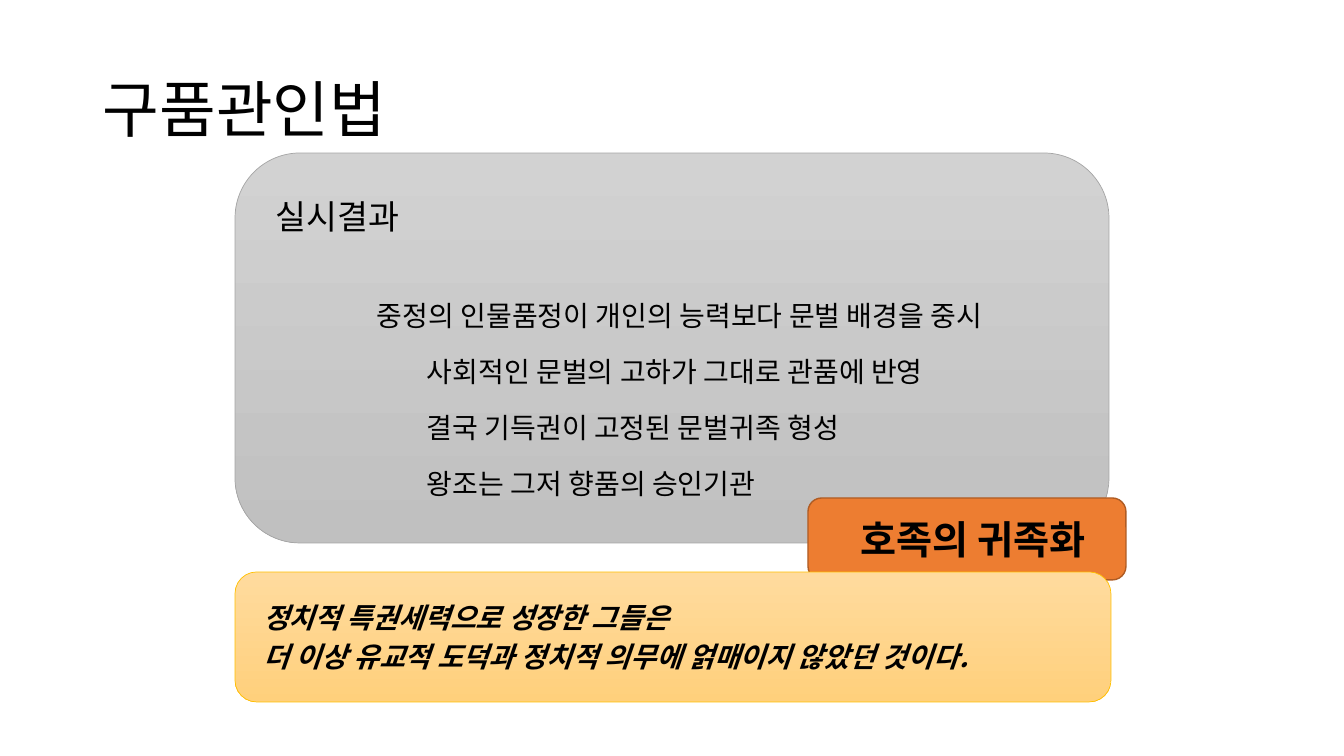
from pptx import Presentation
from pptx.dml.color import RGBColor
from pptx.enum.shapes import MSO_SHAPE
from pptx.enum.text import MSO_ANCHOR, PP_ALIGN
from pptx.util import Emu, Pt
from lxml import etree

ROUND = MSO_SHAPE.ROUNDED_RECTANGLE
MIDDLE = MSO_ANCHOR.MIDDLE
LEFT, CENTER = PP_ALIGN.LEFT, PP_ALIGN.CENTER
PX = 914400 / 100.8

BLACK = RGBColor(0x00, 0x00, 0x00)
GRAY_TOP = RGBColor(0xD2, 0xD2, 0xD2)
GRAY_BOTTOM = RGBColor(0xC0, 0xC0, 0xC0)
GRAY_LINE = RGBColor(0xA5, 0xA5, 0xA5)
ORANGE = RGBColor(0xED, 0x7D, 0x31)
ORANGE_LINE = RGBColor(0xAF, 0x5C, 0x24)
YELLOW_TOP = RGBColor(0xFF, 0xDB, 0x9E)
YELLOW_BOTTOM = RGBColor(0xFF, 0xD0, 0x7C)
YELLOW_LINE = RGBColor(0xFF, 0xC0, 0x00)
LATIN, HANGUL = "Calibri", "Noto Sans CJK KR"
A = "{http://schemas.openxmlformats.org/drawingml/2006/main}"


def px(n):
    return Emu(round(n * PX))


def add_line(tf, text, size, font, indent=0, align=LEFT, spacing=None,
             before=0, bold=False, italic=False):
    p = tf.paragraphs[0]
    if p.runs:
        p = tf.add_paragraph()
    pPr = p._p.get_or_add_pPr()
    pPr.set("marL", str(px(indent)))
    pPr.set("indent", "0")
    p.alignment = align
    p.space_before = Pt(before)
    if spacing:
        p.line_spacing = spacing
    r = p.add_run()
    r.text = text
    r.font.size = Pt(size)
    r.font.bold = bold
    r.font.italic = italic
    r.font.color.rgb = BLACK
    r.font.name = font
    etree.SubElement(r._r.get_or_add_rPr(), A + "ea").set("typeface", HANGUL)


prs = Presentation()
prs.slide_width, prs.slide_height = px(1344), px(756)
s = prs.slides.add_slide(prs.slide_layouts[6])

# Title
title = s.shapes.add_textbox(px(93), px(40), px(1159), px(146))
title.text_frame.word_wrap = True
title.text_frame.vertical_anchor = MIDDLE
add_line(title.text_frame, "구품관인법", 44, LATIN, spacing=0.9)

# Rounded boxes, from back to front
BOXES = [
    (235, 153, 874, 390, (GRAY_TOP, GRAY_BOTTOM), GRAY_LINE, 0.5),
    (808, 498, 318, 82, (ORANGE,), ORANGE_LINE, 1),
    (235, 572, 876, 130, (YELLOW_TOP, YELLOW_BOTTOM), YELLOW_LINE, 0.5),
]
frames = []
for x, y, w, h, fills, line, weight in BOXES:
    sp = s.shapes.add_shape(ROUND, px(x), px(y), px(w), px(h))
    sp.shadow.inherit = False
    if len(fills) == 1:
        sp.fill.solid()
        sp.fill.fore_color.rgb = fills[0]
    else:
        sp.fill.gradient()
        sp.fill.gradient_angle = 270
        for stop, color in zip(sp.fill.gradient_stops, fills):
            stop.color.rgb = color
    sp.line.color.rgb = line
    sp.line.width = Pt(weight)
    tf = sp.text_frame
    tf.word_wrap = True
    tf.vertical_anchor = MIDDLE
    frames.append(tf)
results, badge, conclusion = frames

# Results of the system
add_line(results, "실시결과", 24, LATIN, 12, spacing=Pt(29))
for text, indent, before in [
    ("중정의 인물품정이 개인의 능력보다 문벌 배경을 중시", 113, 32),
    ("사회적인 문벌의 고하가 그대로 관품에 반영", 163, 4),
    ("결국 기득권이 고정된 문벌귀족 형성", 163, 4),
    ("왕조는 그저 향품의 승인기관", 163, 4),
]:
    add_line(results, text, 20, HANGUL, indent, spacing=Pt(36), before=before)

# Badge
add_line(badge, "호족의 귀족화", 28, LATIN, 12, CENTER, bold=True)

# Conclusion
for text, before in [
    ("정치적 특권세력으로 성장한 그들은", 0),
    ("더 이상 유교적 도덕과 정치적 의무에 얽매이지 않았던 것이다.", 4),
]:
    add_line(conclusion, text, 20, HANGUL, 12, spacing=Pt(24), before=before,
             bold=True, italic=True)

prs.save("out.pptx")
